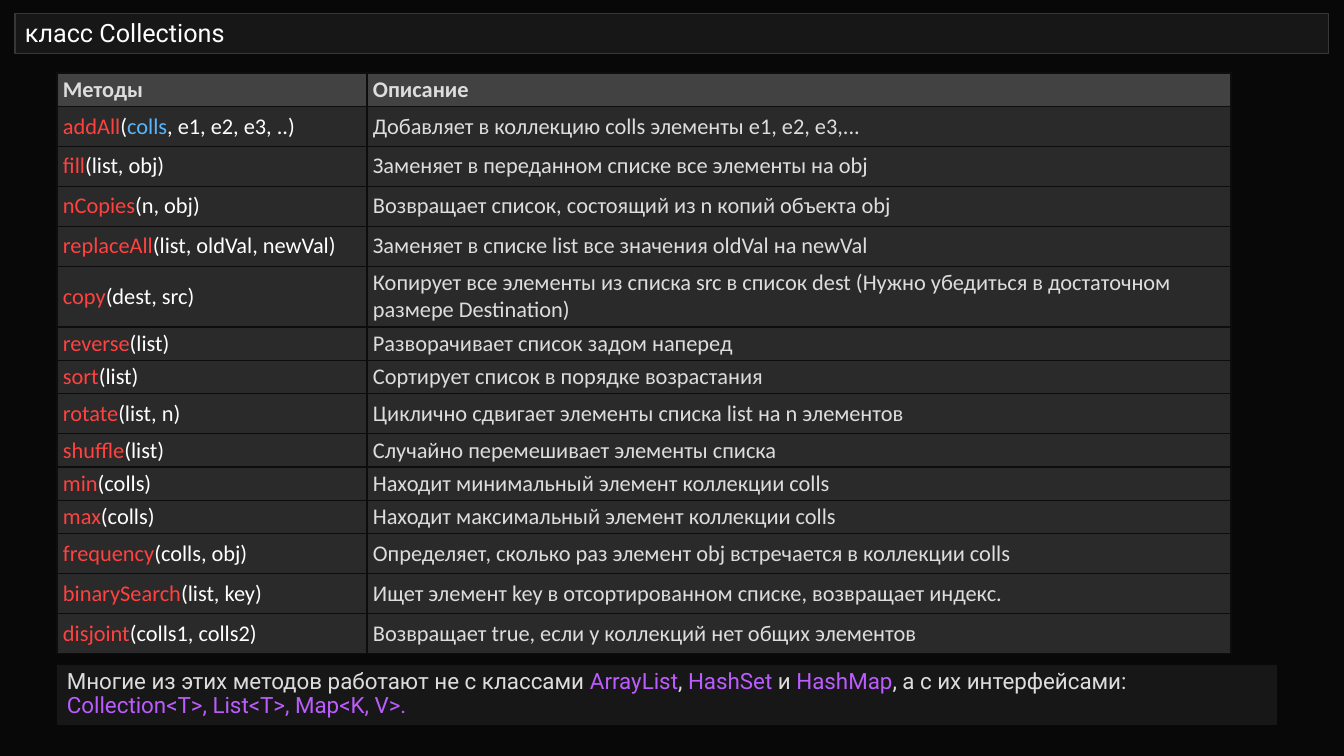
"""Build a dark slide listing the methods of the Collections class."""
from lxml import etree
from pptx import Presentation
from pptx import util as u
from pptx.dml.color import RGBColor
from pptx.enum import shapes, text
from pptx.oxml.ns import qn

BACK = RGBColor(0x08, 0x08, 0x08)
PANEL = RGBColor(0x17, 0x17, 0x17)
PANEL_LINE = RGBColor(0x37, 0x37, 0x37)
GRID = RGBColor(0x0D, 0x0D, 0x0D)
HEAD = RGBColor(0x42, 0x42, 0x42)
BODY = RGBColor(0x2A, 0x2A, 0x2B)
WHITE = RGBColor(0xFF, 0xFF, 0xFF)
LIGHT = RGBColor(0xDD, 0xDD, 0xDD)
RED = RGBColor(0xFF, 0x42, 0x3F)
BLUE = RGBColor(0x56, 0xB7, 0xFF)
PURPLE = RGBColor(0xBC, 0x5C, 0xFF)

TITLE = [("класс Collections", WHITE)]
HEADER = ("Методы", "Описание")
METHODS = [
    (40, "addAll", [("(", WHITE), ("colls", BLUE), (", e1, e2, e3, ..)", WHITE)],
     "Добавляет в коллекцию colls элементы e1, e2, e3,..."),
    (40, "fill", "(list, obj)", "Заменяет в переданном списке все элементы на obj"),
    (40, "nCopies", "(n, obj)", "Возвращает список, состоящий из n копий объекта obj"),
    (40, "replaceAll", "(list, oldVal, newVal)",
     "Заменяет в списке list все значения oldVal на newVal"),
    (60, "copy", "(dest, src)",
     "Копирует все элементы из списка src в список dest "
     "(Нужно убедиться в достаточном размере Destination)"),
    (33, "reverse", "(list)", "Разворачивает список задом наперед"),
    (33, "sort", "(list)", "Сортирует список в порядке возрастания"),
    (40, "rotate", "(list, n)", "Циклично сдвигает элементы списка list на n элементов"),
    (33, "shuffle", "(list)", "Случайно перемешивает элементы списка"),
    (33, "min", "(colls)", "Находит минимальный элемент коллекции colls"),
    (33, "max", "(colls)", "Находит максимальный элемент коллекции colls"),
    (40, "frequency", "(colls, obj)",
     "Определяет, сколько раз элемент obj встречается в коллекции colls"),
    (40, "binarySearch", "(list, key)",
     "Ищет элемент key в отсортированном списке, возвращает индекс."),
    (40, "disjoint", "(colls1, colls2)",
     "Возвращает true, если у коллекций нет общих элементов"),
]
NOTE = [
    ("Многие из этих методов работают не с классами ", LIGHT), ("ArrayList", PURPLE),
    (", ", LIGHT), ("HashSet", PURPLE), (" и ", LIGHT), ("HashMap", PURPLE),
    (", а с их интерфейсами: ", LIGHT), ("Collection<T>, List<T>, Map<K, V>.", PURPLE),
]

SLIDE = (1344, 756)
TITLE_BOX = (15, 14, 1314, 40)
NOTE_BOX = (57, 665, 1220, 60)
TABLE_AT = (57, 73)
COLS = (310, 864)
HEADER_H = 33


def px(n):
    return u.Emu(round(n * 914400 / 100.8))


def set_all(obj, values):
    for name, value in values.items():
        setattr(obj, name, value)


def write(tf, runs, font):
    p = tf.paragraphs[0]
    for words, color in runs:
        r = p.add_run()
        r.text = words
        set_all(r.font, font)
        r.font.color.rgb = color
    return p


def panel(s, box, runs, size, anchor):
    sp = s.shapes.add_shape(shapes.MSO_SHAPE.RECTANGLE, *map(px, box))
    sp.shadow.inherit = False
    sp.fill.solid()
    sp.fill.fore_color.rgb = PANEL
    sp.line.fill.background()
    set_all(sp.text_frame, {"word_wrap": True, "vertical_anchor": anchor})
    p = write(sp.text_frame, runs, {"name": "Roboto", "size": u.Pt(size)})
    set_all(p, {"alignment": text.PP_ALIGN.LEFT, "line_spacing": 0.9})
    return sp


def style_cell(cell, runs, fill, bold):
    set_all(cell, {"margin_left": px(6), "margin_right": px(6), "margin_top": px(3),
                   "margin_bottom": px(3), "vertical_anchor": text.MSO_ANCHOR.MIDDLE})
    tc_pr = cell._tc.get_or_add_tcPr()
    for side in ("lnL", "lnR", "lnT", "lnB"):
        ln = etree.SubElement(tc_pr, qn(f"a:{side}"), w=str(u.Pt(1)))
        solid = etree.SubElement(ln, qn("a:solidFill"))
        etree.SubElement(solid, qn("a:srgbClr"), val=str(GRID))
    cell.fill.solid()
    cell.fill.fore_color.rgb = fill
    write(cell.text_frame, runs, {"name": "Calibri", "size": u.Pt(16), "bold": bold})


def method_table(s):
    rows = [(HEADER_H, *([(h, LIGHT)] for h in HEADER))]
    for height, name, args, about in METHODS:
        args = [(args, WHITE)] if isinstance(args, str) else args
        rows.append((height, [(name, RED), *args], [(about, LIGHT)]))
    size = (sum(COLS), sum(row[0] for row in rows))
    table = s.shapes.add_table(len(rows), len(COLS), *map(px, TABLE_AT + size)).table
    for col, width in zip(table.columns, COLS):
        col.width = px(width)
    for i, (height, *cells) in enumerate(rows):
        table.rows[i].height = px(height)
        for j, runs in enumerate(cells):
            style_cell(table.cell(i, j), runs, BODY if i else HEAD, i == 0)


def main():
    prs = Presentation()
    prs.slide_width, prs.slide_height = map(px, SLIDE)
    s = prs.slides.add_slide(prs.slide_layouts[6])
    s.background.fill.solid()
    s.background.fill.fore_color.rgb = BACK
    title = panel(s, TITLE_BOX, TITLE, 18, text.MSO_ANCHOR.MIDDLE)
    title.line.color.rgb = PANEL_LINE
    title.line.width = u.Pt(0.75)
    method_table(s)
    panel(s, NOTE_BOX, NOTE, 16, text.MSO_ANCHOR.TOP)
    prs.save("out.pptx")


if __name__ == "__main__":
    main()
